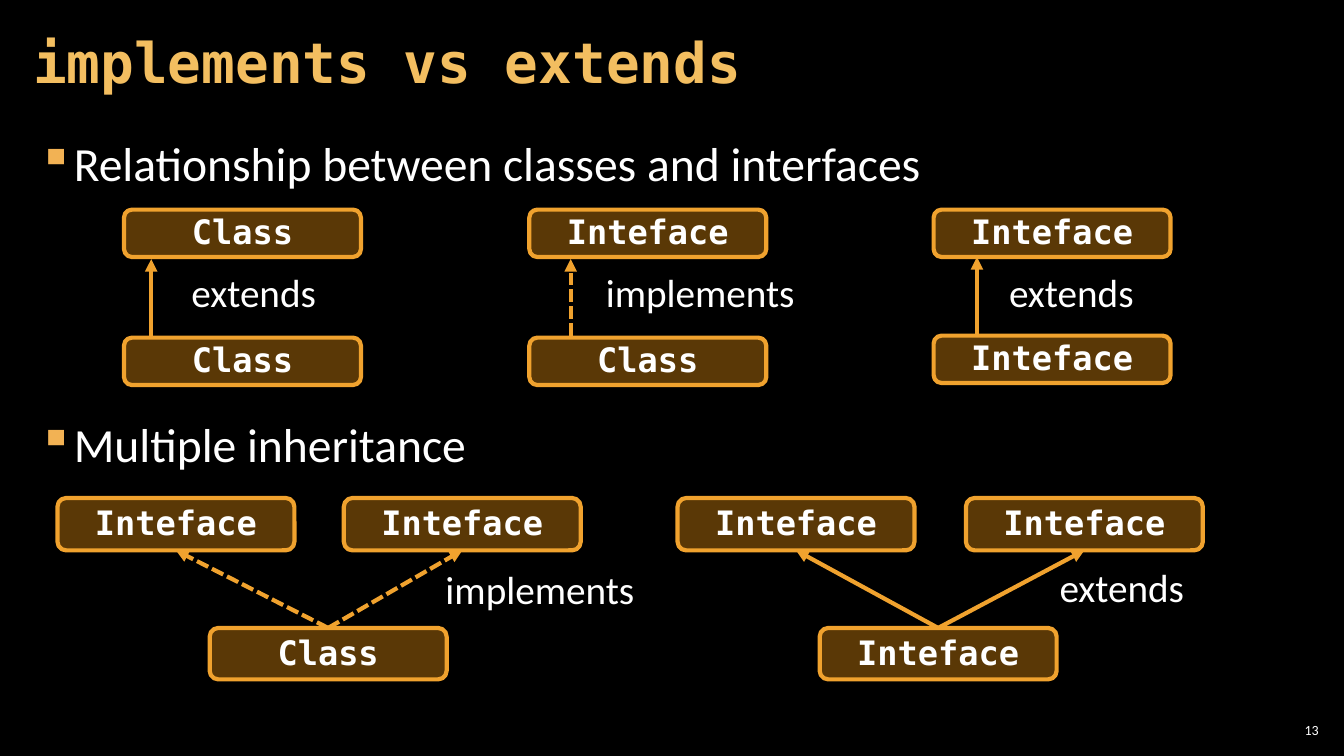
from pptx import Presentation
from pptx.dml.color import RGBColor
from pptx.enum.dml import MSO_LINE
from pptx.enum.shapes import MSO_CONNECTOR, MSO_SHAPE
from pptx.enum.text import MSO_ANCHOR, MSO_AUTO_SIZE, PP_ALIGN
from pptx.oxml.ns import qn
from pptx.oxml.xmlchemy import OxmlElement
from pptx.util import Inches, Pt

TOP, BOTTOM = 0, 2


def color(value):
    return RGBColor.from_string(value)


def add_element(parent, tag, **attributes):
    child = OxmlElement(tag)
    for name, value in attributes.items():
        child.set(name, value)
    parent.append(child)
    return child


class DiagramPage:
    body_font, code_font = "Calibri", "DejaVu Sans Mono"
    white, gold, bullet_gold = "FFFFFF", "F3BE60", "F2B254"
    outline, node_fill, node_alpha = "F0A22E", "C87D0E", "45000"
    node_width = 2.35

    def __init__(self, deck):
        self.page = deck.slides.add_slide(deck.slide_layouts[6])
        background = self.page.background.fill
        background.solid()
        background.fore_color.rgb = color("000000")

    def style(self, para, size, font=None, ink=None, bold=False):
        para.font.name = font or self.body_font
        para.font.size = Pt(size)
        para.font.bold = bold
        para.font.color.rgb = color(ink or self.white)

    def text_frame(self, left, top, width, height, side=0.1, edge=0.05):
        box = self.page.shapes.add_textbox(
            Inches(left), Inches(top), Inches(width), Inches(height))
        frame = box.text_frame
        frame.word_wrap = True
        frame.margin_left = frame.margin_right = Inches(side)
        frame.margin_top = frame.margin_bottom = Inches(edge)
        return frame

    def title(self, text):
        frame = self.text_frame(0.21, 0.04, 10.47, 1.21, 0.12, 0.04)
        frame.vertical_anchor = MSO_ANCHOR.MIDDLE
        para = frame.paragraphs[0]
        para.text = text
        para.line_spacing = 0.9
        self.style(para, 40, self.code_font, self.gold, bold=True)

    def bullets(self, texts, gap):
        """Write bullets with a gap in points for the diagrams between them."""
        frame = self.text_frame(0.26, 1.26, 12.91, 6.09, 0.12, 0.04)
        for index, text in enumerate(texts):
            para = frame.add_paragraph() if index else frame.paragraphs[0]
            para.text = text
            para.line_spacing = 1.05
            para.space_before = Pt(gap if index else 0)
            para.space_after = Pt(6)
            properties = para._p.get_or_add_pPr()
            properties.set("marL", str(Inches(0.33)))
            properties.set("indent", str(-Inches(0.33)))
            bullet_color = add_element(properties, "a:buClr")
            add_element(bullet_color, "a:srgbClr", val=self.bullet_gold)
            add_element(properties, "a:buChar", char="▪")
            self.style(para, 34)

    def label(self, text, left, top):
        width = 2.09 if text == "implements" else 1.45
        frame = self.text_frame(left, top, width, 0.57)
        frame.word_wrap = False
        frame.auto_size = MSO_AUTO_SIZE.SHAPE_TO_FIT_TEXT
        para = frame.paragraphs[0]
        para.text = text
        self.style(para, 28)

    def page_number(self, text):
        frame = self.text_frame(12.65, 7.14, 0.47, 0.21, 0.04, 0.04)
        frame.vertical_anchor = MSO_ANCHOR.MIDDLE
        para = frame.paragraphs[0]
        para.text = text
        para.alignment = PP_ALIGN.RIGHT
        self.style(para, 10)

    def node(self, text, left, top, height):
        shape = self.page.shapes.add_shape(
            MSO_SHAPE.ROUNDED_RECTANGLE, Inches(left), Inches(top),
            Inches(self.node_width), Inches(height))
        shape.shadow.inherit = False
        shape.fill.solid()
        shape.fill.fore_color.rgb = color(self.node_fill)
        fill = shape.element.spPr.find(qn("a:solidFill"))
        add_element(fill.find(qn("a:srgbClr")), "a:alpha", val=self.node_alpha)
        shape.line.color.rgb = color(self.outline)
        shape.line.width = Pt(3)
        frame = shape.text_frame
        frame.word_wrap = False
        frame.vertical_anchor = MSO_ANCHOR.MIDDLE
        para = frame.paragraphs[0]
        para.text = text
        para.alignment = PP_ALIGN.CENTER
        para.line_spacing = 0.95
        self.style(para, 24, self.code_font, bold=True)
        return shape

    def arrow(self, relation, start=(0, 0), end=(0, 0)):
        line = self.page.shapes.add_connector(
            MSO_CONNECTOR.STRAIGHT, *map(Inches, start + end))
        line.line.color.rgb = color(self.outline)
        line.line.width = Pt(3)
        if relation == "implements":
            line.line.dash_style = MSO_LINE.SQUARE_DOT
        properties = line.element.spPr
        add_element(properties.find(qn("a:ln")), "a:tailEnd", type="triangle")
        add_element(properties, "a:effectLst")
        return line

    def single(self, parent, child, relation, left, child_top, arrow_x, label_x):
        """Draw one parent above one child, joined by an upright arrow."""
        self.node(parent, left, 2.08, 0.47)
        self.node(child, left, child_top, 0.47)
        self.arrow(relation, (arrow_x, child_top - 0.02),
                   (arrow_x, child_top - 0.78))
        self.label(relation, label_x, 2.61)

    def multiple(self, child, relation, parent_lefts, child_left, label_at):
        """Draw one child below several parents, each joined by an arrow."""
        child_node = self.node(child, child_left, 6.23, 0.51)
        for left in parent_lefts:
            parent_node = self.node("Inteface", left, 4.94, 0.52)
            line = self.arrow(relation)
            line.begin_connect(child_node, TOP)
            line.end_connect(parent_node, BOTTOM)
        self.label(relation, *label_at)


def main():
    deck = Presentation()
    deck.slide_width, deck.slide_height = Inches(13.33), Inches(7.5)
    diagram = DiagramPage(deck)
    diagram.title("implements vs extends")
    diagram.bullets(
        ["Relationship between classes and interfaces", "Multiple inheritance"],
        gap=152)
    diagram.single("Class", "Class", "extends", 1.23, 3.35, 1.5, 1.8)
    diagram.single("Inteface", "Class", "implements", 5.25, 3.35, 5.66, 5.91)
    diagram.single("Inteface", "Inteface", "extends", 9.26, 3.33, 9.69, 9.91)
    diagram.multiple("Class", "implements", (0.57, 3.41), 2.08, (4.32, 5.56))
    diagram.multiple("Inteface", "extends", (6.72, 9.58), 8.13, (10.41, 5.54))
    diagram.page_number("13")
    deck.save("out.pptx")


if __name__ == "__main__":
    main()
